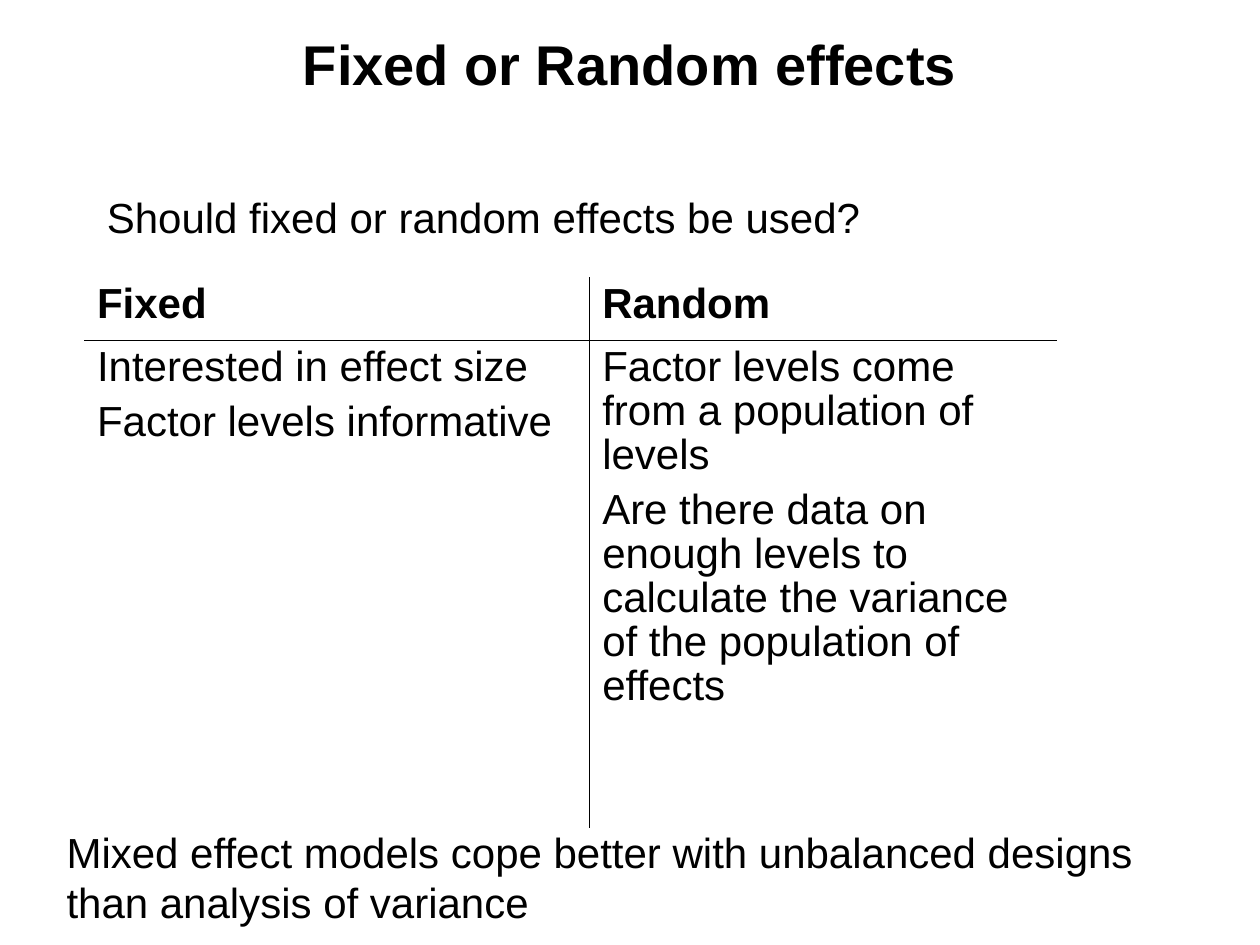
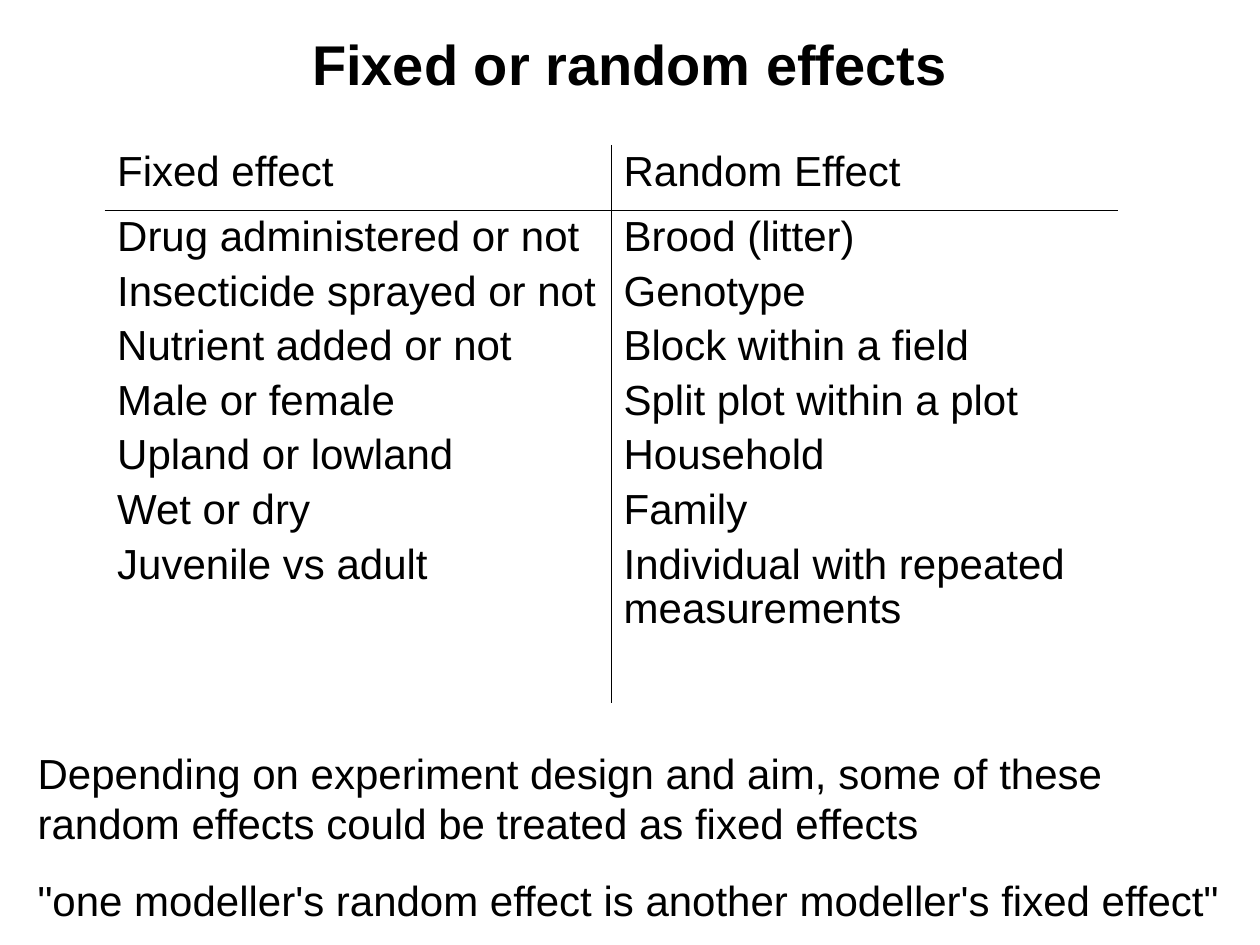
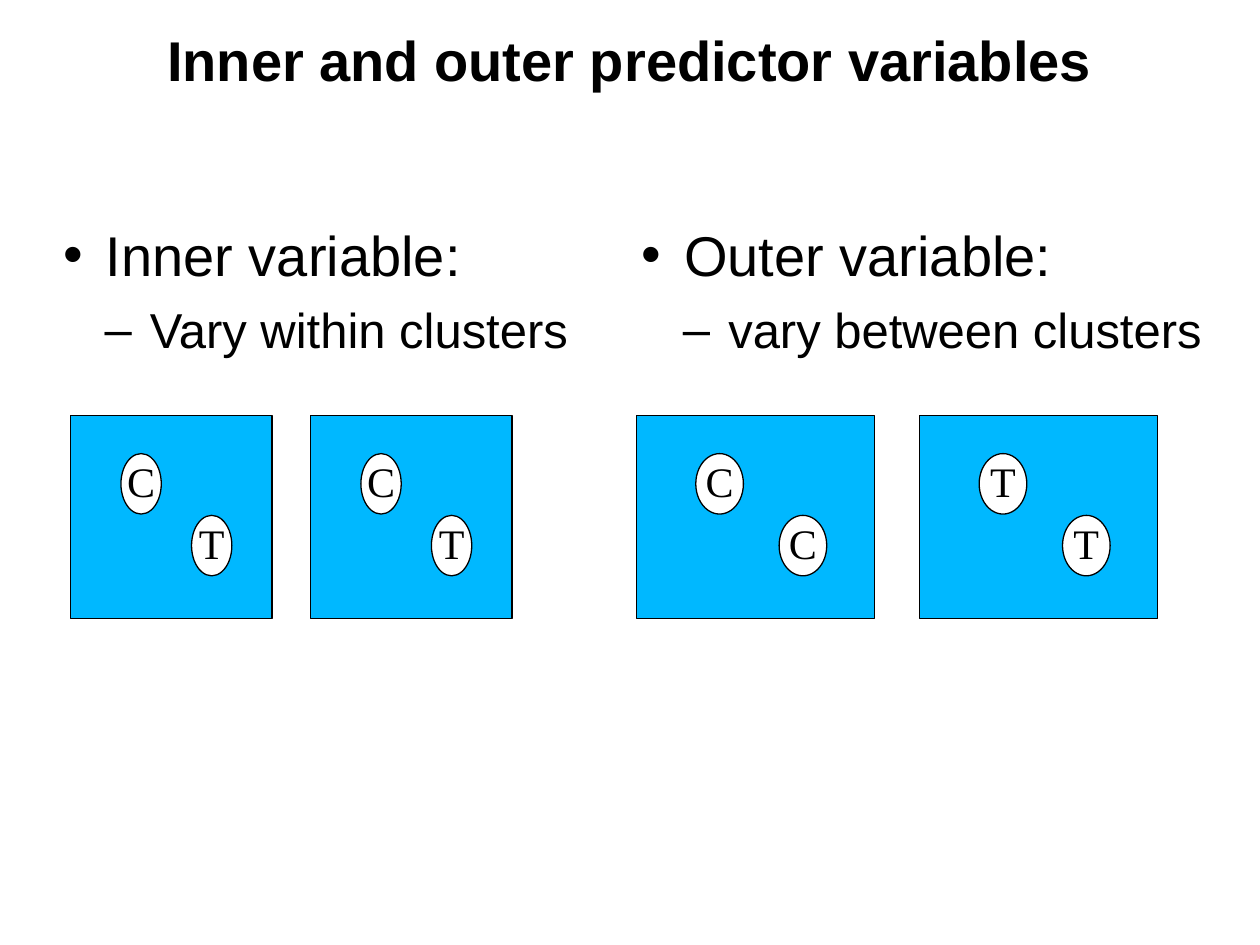
from lxml.etree import SubElement
from pptx import Presentation
from pptx.dml.color import RGBColor
from pptx.enum.shapes import MSO_SHAPE
from pptx.enum.text import MSO_ANCHOR, MSO_AUTO_SIZE, PP_ALIGN
from pptx.oxml import parse_xml
from pptx.oxml.ns import nsdecls, qn
from pptx.util import Inches, Pt

BLACK, WHITE, CLUSTER_BLUE = "000000", "FFFFFF", "00B8FF"
SANS, SERIF = "Arial", "Times New Roman"
TWO_CONTENT, TITLE_ONLY = 3, 5


def rgb(hex_color):
    return RGBColor.from_string(hex_color)


def place(shape, left, top, width, height):
    shape.left, shape.top = Inches(left), Inches(top)
    shape.width, shape.height = Inches(width), Inches(height)


def clear_insets(frame):
    frame.margin_left = frame.margin_right = 0
    frame.margin_top = frame.margin_bottom = 0


def add_run(paragraph, text, size, font=SANS, bold=False):
    run = paragraph.add_run()
    run.text = text
    run.font.size, run.font.name, run.font.bold = Pt(size), font, bold
    run.font.color.rgb = rgb(BLACK)


def write_paragraphs(frame, texts, space_before, line_spacing=None, bold=False):
    for index, text in enumerate(texts):
        paragraph = frame.add_paragraph() if index else frame.paragraphs[0]
        paragraph.space_before = Pt(space_before if index else 0)
        if line_spacing:
            paragraph.line_spacing = line_spacing
        add_run(paragraph, text, 24, bold=bold)


def add_titled_slide(prs, layout, heading):
    slide = prs.slides.add_slide(prs.slide_layouts[layout])
    title = slide.shapes.title
    place(title, 0.5, 0.08, 9, 0.84)
    frame = title.text_frame
    clear_insets(frame)
    frame.auto_size = MSO_AUTO_SIZE.NONE
    frame.vertical_anchor = MSO_ANCHOR.MIDDLE
    paragraph = frame.paragraphs[0]
    paragraph.alignment = PP_ALIGN.CENTER
    add_run(paragraph, heading, 32, bold=True)
    return slide


def add_note(slide, texts, left, top, width, height):
    box = slide.shapes.add_textbox(Inches(left), Inches(top),
                                   Inches(width), Inches(height))
    box.text_frame.word_wrap = True
    write_paragraphs(box.text_frame, texts, 15)


def set_borders(cell, ruled_sides):
    """Rule the given sides (of L, R, T, B) and leave the others without a line."""
    properties = cell._tc.get_or_add_tcPr()
    for position, side in enumerate("LRTB"):
        line = parse_xml(f'<a:ln{side} {nsdecls("a")} w="{Pt(0.23)}"/>')
        if side in ruled_sides:
            fill = SubElement(line, qn("a:solidFill"))
            SubElement(fill, qn("a:srgbClr"), val=BLACK)
        else:
            SubElement(line, qn("a:noFill"))
        properties.insert(position, line)


def add_comparison(slide, left, top, widths, heights, headings, columns,
                   bold_headings=False):
    """Add a two-by-two table ruled only between its cells."""
    table = slide.shapes.add_table(2, 2, Inches(left), Inches(top),
                                   Inches(sum(widths)), Inches(sum(heights))).table
    table.first_row = table.horz_banding = False
    for column, width in zip(table.columns, widths):
        column.width = Inches(width)
    for row, height in zip(table.rows, heights):
        row.height = Inches(height)
    contents = [[[heading] for heading in headings], columns]
    for row, row_texts in enumerate(contents):
        for column, texts in enumerate(row_texts):
            cell = table.cell(row, column)
            cell.fill.background()
            set_borders(cell, "RL"[column] + "BT"[row])
            write_paragraphs(cell.text_frame, texts, 6, 0.94,
                             bold=bold_headings and row == 0)


def fill_definition(placeholder, left, width, term, meaning):
    place(placeholder, left, 1.75, width, 4.92)
    frame = placeholder.text_frame
    clear_insets(frame)
    frame.auto_size = MSO_AUTO_SIZE.NONE
    levels = [(term, 32, 0.34, -0.34, 0), (meaning, 28, 0.69, -0.36, 7)]
    for level, (text, size, margin, indent, space) in enumerate(levels):
        paragraph = frame.add_paragraph() if level else frame.paragraphs[0]
        paragraph.level = level
        properties = paragraph._p.get_or_add_pPr()
        properties.set("marL", str(Inches(margin)))
        properties.set("indent", str(Inches(indent)))
        paragraph.space_before = Pt(space)
        add_run(paragraph, text, size)


def add_outlined(slide, kind, fill, left, top, width, height):
    shape = slide.shapes.add_shape(kind, Inches(left), Inches(top),
                                   Inches(width), Inches(height))
    shape.shadow.inherit = False
    shape.fill.solid()
    shape.fill.fore_color.rgb = rgb(fill)
    shape.line.color.rgb = rgb(BLACK)
    shape.line.width = Pt(0.75)
    return shape


def add_cluster(slide, left, width, treatments):
    """Draw a cluster with its two members, placed in proportion to its width."""
    top = 3.3
    add_outlined(slide, MSO_SHAPE.RECTANGLE, CLUSTER_BLUE, left, top, width, 1.61)
    offsets = [(0.25, 0.3), (0.6, 0.79)]
    for treatment, (across, down) in zip(treatments, offsets):
        member = add_outlined(slide, MSO_SHAPE.OVAL, WHITE, left + across * width,
                              top + down, 0.2 * width, 0.48)
        frame = member.text_frame
        clear_insets(frame)
        frame.word_wrap = False
        frame.vertical_anchor = MSO_ANCHOR.MIDDLE
        paragraph = frame.paragraphs[0]
        paragraph.alignment = PP_ALIGN.CENTER
        paragraph.line_spacing = 0.93
        add_run(paragraph, treatment, 24, SERIF)


def add_cluster_pair(slide, left, width, treatment_pairs):
    for index, treatments in enumerate(treatment_pairs):
        add_cluster(slide, left + index * 1.19 * width, width, treatments)


def build_choice_slide(prs):
    slide = add_titled_slide(prs, TITLE_ONLY, "Fixed or Random effects")
    add_note(slide, ["Should fixed or random effects be used?"],
             0.75, 1.47, 7.64, 1.11)
    add_comparison(
        slide, 0.67, 2.2, [4.01, 3.71], [0.5, 3.87], ["Fixed", "Random"],
        [["Interested in effect size", "Factor levels informative"],
         ["Factor levels come from a population of levels",
          "Are there data on enough levels to calculate the variance "
          "of the population of effects"]],
        bold_headings=True)
    add_note(slide, ["Mixed effect models cope better with unbalanced designs "
                     "than analysis of variance"], 0.43, 6.51, 8.66, 0.9)


def build_examples_slide(prs):
    slide = add_titled_slide(prs, TITLE_ONLY, "Fixed or random effects")
    add_comparison(
        slide, 0.83, 1.15, [4.02, 4.02], [0.52, 3.91],
        ["Fixed effect", "Random Effect"],
        [["Drug administered or not", "Insecticide sprayed or not",
          "Nutrient added or not", "Male or female", "Upland or lowland",
          "Wet or dry", "Juvenile vs adult"],
         ["Brood (litter)", "Genotype", "Block within a field",
          "Split plot within a plot", "Household", "Family",
          "Individual with repeated measurements"]])
    add_note(slide, ["Depending on experiment design and aim, some of these "
                     "random effects could be treated as fixed effects",
                     "\"one modeller's random effect is another modeller's "
                     "fixed effect\""], 0.2, 5.88, 9.69, 1.51)


def build_predictors_slide(prs):
    slide = add_titled_slide(prs, TWO_CONTENT, "Inner and outer predictor variables")
    slide.shapes.title.text_frame.paragraphs[0].line_spacing = 0.93
    inner, outer = slide.placeholders[1], slide.placeholders[2]
    fill_definition(inner, 0.5, 4.38, "Inner variable:", "Vary within clusters")
    fill_definition(outer, 5.09, 4.55, "Outer variable:", "vary between clusters")
    add_cluster_pair(slide, 0.56, 1.6, ["CT", "CT"])
    add_cluster_pair(slide, 5.05, 1.89, ["CC", "TT"])


def main():
    prs = Presentation()
    prs.slide_width, prs.slide_height = Inches(10), Inches(7.5)
    build_choice_slide(prs)
    build_examples_slide(prs)
    build_predictors_slide(prs)
    prs.save("out.pptx")


if __name__ == "__main__":
    main()
